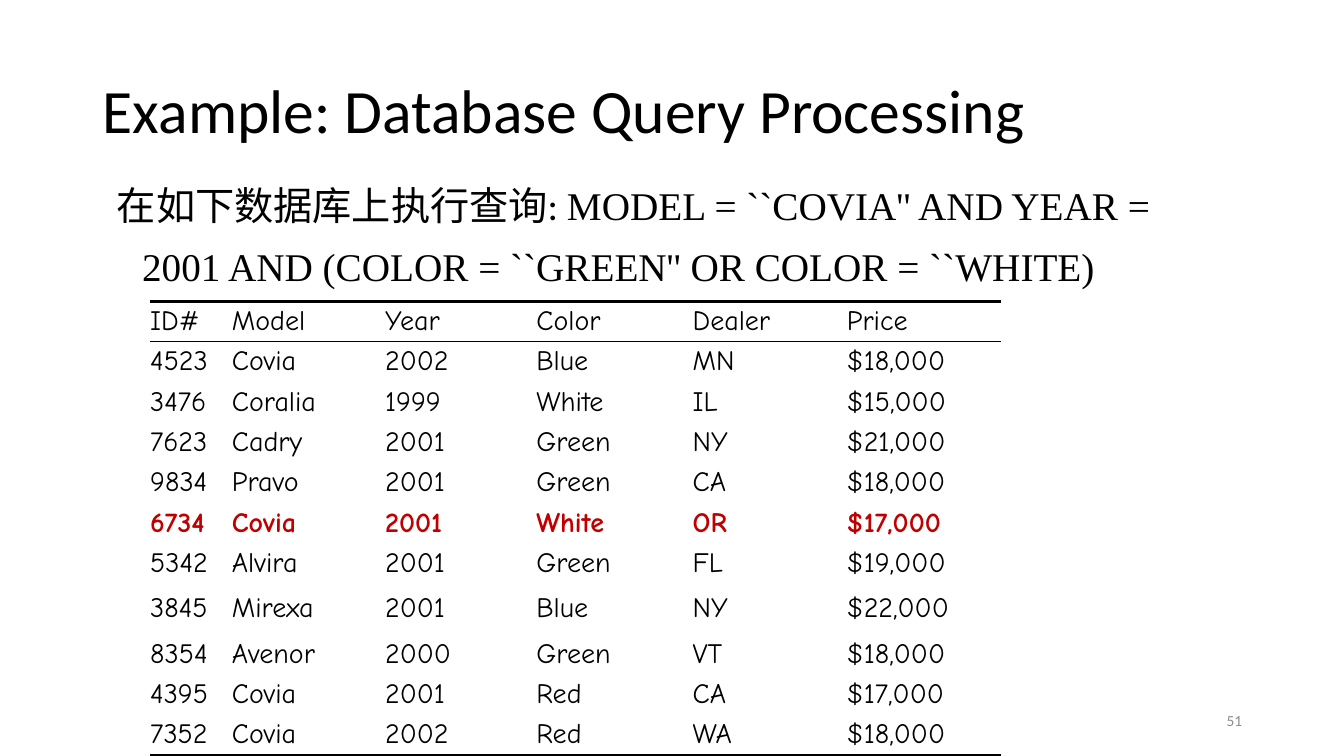
"""Build the database query example slide."""
from lxml import etree
from pptx import Presentation
from pptx.dml.color import RGBColor
from pptx.enum import text as t
from pptx.oxml import ns
from pptx.util import Inches, Pt

BLACK, RED, GRAY = "000000", "C00000", "8C8C8C"
COLS = [0.81, 1.52, 1.5, 1.55, 1.53, 1.53]
CARS = [
    ["ID#", "Model", "Year", "Color", "Dealer", "Price"],
    ["4523", "Covia", "2002", "Blue", "MN", "$18,000"],
    ["3476", "Coralia", "1999", "White", "IL", "$15,000"],
    ["7623", "Cadry", "2001", "Green", "NY", "$21,000"],
    ["9834", "Pravo", "2001", "Green", "CA", "$18,000"],
    ["6734", "Covia", "2001", "White", "OR", "$17,000"],
    ["5342", "Alvira", "2001", "Green", "FL", "$19,000"],
    ["3845", "Mirexa", "2001", "Blue", "NY", "$22,000"],
    ["8354", "Avenor", "2000", "Green", "VT", "$18,000"],
    ["4395", "Covia", "2001", "Red", "CA", "$17,000"],
    ["7352", "Covia", "2002", "Red", "WA", "$18,000"],
]
MATCH, TALL = 5, 7


def color(code):
    """Turn a hex string into a colour."""
    return RGBColor.from_string(code)


def add_run(para, words, size, face, code=BLACK, bold=False):
    """Add one formatted run to a paragraph."""
    run = para.add_run()
    run.text = words
    font = run.font
    font.size, font.name, font.bold = Pt(size), face, bold
    font.color.rgb = color(code)


def place(shape, left, top, width, height):
    """Move and size a shape in inches."""
    shape.left, shape.top = Inches(left), Inches(top)
    shape.width, shape.height = Inches(width), Inches(height)


def set_frame(shape, anchor):
    """Wrap the text of a shape, anchor it and return its paragraph."""
    frame = shape.text_frame
    frame.word_wrap = True
    frame.auto_size = t.MSO_AUTO_SIZE.NONE
    frame.vertical_anchor = anchor
    return frame.paragraphs[0]


def add_title(slide):
    """Fill the title placeholder."""
    title = slide.shapes.title
    place(title, 0.92, 0.4, 11.5, 1.45)
    para = set_frame(title, t.MSO_ANCHOR.MIDDLE)
    para.alignment, para.line_spacing = t.PP_ALIGN.LEFT, 0.9
    add_run(para, "Example: Database Query Processing", 44, "Calibri")


def add_query(slide):
    """Fill the body placeholder with the query."""
    body = slide.placeholders[1]
    place(body, 1.06, 1.61, 11.22, 1.29)
    para = set_frame(body, t.MSO_ANCHOR.TOP)
    props = para._p.get_or_add_pPr()
    props.set("marL", str(Inches(0.25)))
    props.set("indent", str(Inches(-0.25)))
    etree.SubElement(props, ns.qn("a:buNone"))
    para.line_spacing, para.space_before, para.space_after = 1.3, Pt(0), Pt(5)
    add_run(para, "在如下数据库上执行查询: ", 28, "Calibri")
    query = "MODEL = ``COVIA'' AND YEAR = 2001 AND (COLOR = ``GREEN'' OR COLOR = ``WHITE)"
    add_run(para, query, 28, "Times New Roman")


def set_edges(cell, top, bottom):
    """Rule the top and bottom of a cell, zero meaning no line."""
    props = cell._tc.get_or_add_tcPr()
    for side, width in zip("LRTB", (0, 0, top, bottom)):
        line = etree.SubElement(props, ns.qn(f"a:ln{side}"), w=str(Pt(width)))
        if width:
            fill = etree.SubElement(line, ns.qn("a:solidFill"))
            etree.SubElement(fill, ns.qn("a:srgbClr"), val=BLACK)
        else:
            etree.SubElement(line, ns.qn("a:noFill"))


def fill_cell(cell, words, code, bold):
    """Write one table cell without margins or fill."""
    cell.margin_left = cell.margin_right = 0
    cell.margin_top = cell.margin_bottom = 0
    cell.vertical_anchor = t.MSO_ANCHOR.MIDDLE
    cell.fill.background()
    add_run(cell.text_frame.paragraphs[0], words, 20, "Comic Neue", code, bold)


def add_cars(slide):
    """Add the table of cars with the matching row in red."""
    frame = slide.shapes.add_table(len(CARS), len(COLS), Inches(1.49), Inches(2.99),
                                   Inches(sum(COLS)), Inches(4.5))
    table = frame.table
    table.first_row = table.horz_banding = False
    for col, width in zip(table.columns, COLS):
        col.width = Inches(width)
    rules = {0: 2.25, 1: 1, len(CARS): 2.25}
    for i, car in enumerate(CARS):
        table.rows[i].height = Inches(0.5 if i == TALL else 0.4)
        hit = i == MATCH
        for j, words in enumerate(car):
            cell = table.cell(i, j)
            set_edges(cell, rules.get(i, 0), rules.get(i + 1, 0))
            fill_cell(cell, words, RED if hit else BLACK, hit)


def add_number(slide):
    """Add the slide number."""
    box = slide.shapes.add_textbox(Inches(9.42), Inches(6.95), Inches(3), Inches(0.4))
    para = set_frame(box, t.MSO_ANCHOR.MIDDLE)
    para.alignment = t.PP_ALIGN.RIGHT
    add_run(para, "51", 11, "Calibri", GRAY)


def main():
    """Build and save the slide."""
    deck = Presentation()
    deck.slide_width, deck.slide_height = Inches(13.33), Inches(7.5)
    slide = deck.slides.add_slide(deck.slide_layouts[1])
    add_title(slide)
    add_query(slide)
    add_cars(slide)
    add_number(slide)
    deck.save("out.pptx")


if __name__ == "__main__":
    main()
